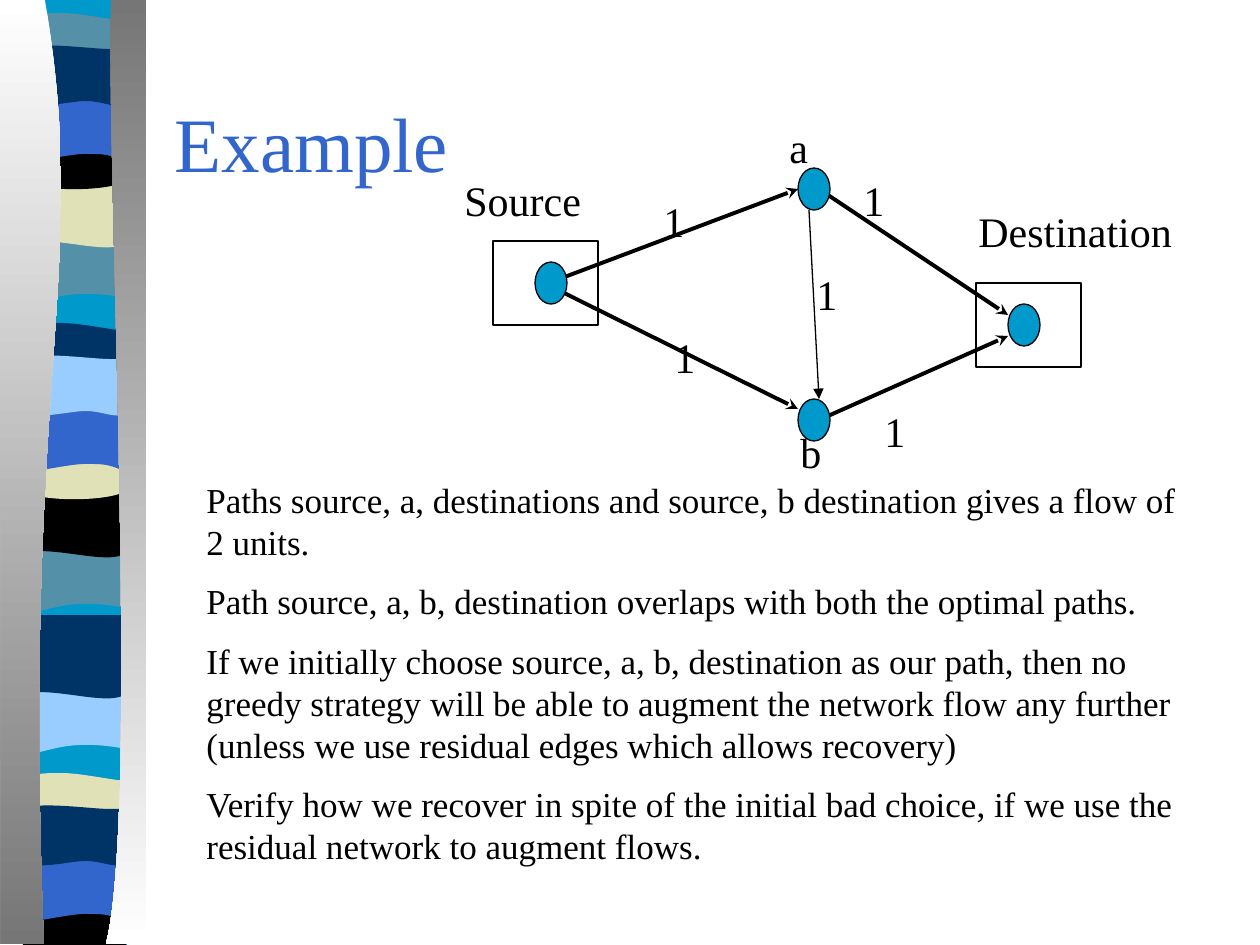
from lxml import etree
from pptx import Presentation
from pptx.dml.color import RGBColor
from pptx.enum.shapes import MSO_CONNECTOR, MSO_SHAPE
from pptx.enum.text import MSO_ANCHOR, PP_ALIGN
from pptx.oxml.ns import qn
from pptx.util import Pt

PX = 914400 / 126
W, H = 1260, 945
FONT = "Times New Roman"
STRAIGHT = MSO_CONNECTOR.STRAIGHT
RECT, OVAL = MSO_SHAPE.RECTANGLE, MSO_SHAPE.OVAL
MIDDLE, LEFT = MSO_ANCHOR.MIDDLE, PP_ALIGN.LEFT

BLACK = RGBColor(0x00, 0x00, 0x00)
WHITE = RGBColor(0xFF, 0xFF, 0xFF)
GREY = RGBColor(0x76, 0x76, 0x76)
CYAN = RGBColor(0x00, 0x99, 0xCC)
TEAL = RGBColor(0x54, 0x90, 0xA8)
CREAM = RGBColor(0xE1, 0xE1, 0xB7)
BLUE = RGBColor(0x33, 0x66, 0xCC)
NAVY = RGBColor(0x00, 0x33, 0x66)
SKY = RGBColor(0x99, 0xCC, 0xFF)

# Band outlines: a pair is a line's end, six numbers are a Bezier curve
BANDS = {
    "tail": [(137, 0), (137, 59), (42, 49, 23, 69, 0, 59), (0, 0)],
    "block": [(137, 0), (137, 59), (114, 69, 42, 53, 0, 59), (0, 0)],
    "lens": [(137, 6), (137, 37), (114, 42, 23, 42, 0, 37), (0, 6),
             (9, 0, 29, 0, 52, 0), (76, 0, 119, 5, 137, 6)],
    "arch": [(137, 0), (137, 40), (114, 48, 23, 48, 0, 40), (0, 0),
             (84, 6, 108, 0, 137, 0)],
    "foot": [(137, 0), (137, 47), (0, 47), (0, 0), (84, 6, 108, 0, 137, 0)],
    "hump": [(137, 0), (137, 59), (115, 53, 107, 53, 84, 53),
             (61, 53, 20, 59, 0, 59), (0, 0)],
    "cap": [(137, 6), (137, 45), (128, 52, 108, 45, 84, 45),
            (61, 45, 14, 52, 0, 45), (0, 6), (19, 0, 92, 6, 115, 6),
            (139, 6, 133, 6, 137, 6)],
}
# Middle of each band below the top of its group
BAND_MIDDLE = {"tail": 245, "block": 190, "lens": 21, "arch": 140, "foot": 140,
               "hump": 103, "cap": 56}
# Groups of bands: top, then colours from back to front
BAND_GROUPS = [
    (20, {"tail": TEAL, "block": CREAM, "lens": TEAL, "arch": BLACK,
          "hump": BLUE, "cap": NAVY}),
    (330, {"tail": TEAL, "block": BLACK, "lens": NAVY, "arch": CREAM,
           "hump": BLUE, "cap": SKY}),
    (471, {"tail": SKY, "block": NAVY}),
    (780, {"lens": CREAM, "foot": BLACK, "hump": BLUE, "cap": NAVY}),
]
BAND_SX, BAND_SY = 3 / 4, 4 / 3
LEFT_CURTAIN = [(45, 0), (91, 273, 21, 373, 44, 944), (1, 944), (0, 0)]
RIGHT_CURTAIN = [(111, 0), (106, 157, 140, 814, 106, 944), (146, 944), (146, 0)]

PARAGRAPHS = [
    "Paths source, a, destinations and source, b destination gives a flow of 2 units.",
    "Path source, a, b, destination overlaps with both the optimal paths.",
    "If we initially choose source, a, b, destination as our path, then no greedy "
    "strategy will be able to augment the network flow any further (unless we use "
    "residual edges which allows recovery)",
    "Verify how we recover in spite of the initial bad choice, if we use the "
    "residual network to augment flows.",
]


def px(*values):
    return [round(v * PX) for v in values]


def add_outline(s, x, y, outline, sx=1, sy=1):
    points = [(x + sx * part[i], y + sy * part[i + 1])
              for part in outline for i in range(0, len(part), 2)]
    builder = s.shapes.build_freeform(*points[0], scale=PX)
    builder.add_line_segments(points[1:], close=True)
    sp = builder.convert_to_shape()
    # Join each curve's three points into one Bezier segment
    lines = iter(list(sp._element.iter(qn("a:lnTo"))))
    for part in outline[1:]:
        first = next(lines)
        if len(part) == 6:
            first.tag = qn("a:cubicBezTo")
            for _ in range(2):
                line = next(lines)
                first.append(line[0])
                line.getparent().remove(line)
    sp.shadow.inherit = False
    sp.line.fill.background()
    return sp


def add_ribbon(s, x, y):
    # Coloured bands over a plain base
    base = add_outline(s, x + 24, y, [(0, 0), (103, 0), (103, 945), (0, 945)])
    base.fill.solid()
    base.fill.fore_color.rgb = CYAN
    for top, colors in BAND_GROUPS:
        for name, color in colors.items():
            outline = BANDS[name]
            height = max(max(part[1::2]) for part in outline)
            band_y = y + top + BAND_MIDDLE[name] - height * BAND_SY / 2
            band = add_outline(s, x + 23, band_y, outline, BAND_SX, BAND_SY)
            band.fill.solid()
            band.fill.fore_color.rgb = color
    # Curtains that trim the bands on both sides
    for outline, shades in ((LEFT_CURTAIN, (WHITE, GREY)),
                            (RIGHT_CURTAIN, (GREY, WHITE))):
        fill = add_outline(s, x, y, outline).fill
        fill.gradient()
        fill.gradient_angle = 270
        for stop, shade in zip(fill.gradient_stops, shades):
            stop.color.rgb = shade


def add_title(s, x, y, w, h, text):
    title = s.shapes.title
    title.left, title.top, title.width, title.height = px(x, y, w, h)
    tf = title.text_frame
    tf.text = text
    tf.vertical_anchor = MIDDLE
    p = tf.paragraphs[0]
    p.alignment = LEFT
    p.font.name, p.font.size, p.font.color.rgb = FONT, Pt(44), BLUE


def add_text(s, x, y, w, h, lines, size, gap=0):
    tf = s.shapes.add_textbox(*px(x, y, w, h)).text_frame
    tf.word_wrap = True
    for i, line in enumerate(lines):
        p = tf.paragraphs[0] if i == 0 else tf.add_paragraph()
        p.text = line
        p.font.name, p.font.size, p.font.color.rgb = FONT, Pt(size), BLACK
        if i:
            p.space_before = Pt(gap)


def add_outlined(s, kind, x, y, w, h, color=None):
    sp = s.shapes.add_shape(kind, *px(x, y, w, h))
    sp.shadow.inherit = False
    sp.line.color.rgb, sp.line.width = BLACK, Pt(0.75)
    if color is None:
        sp.fill.background()
    else:
        sp.fill.solid()
        sp.fill.fore_color.rgb = color


def add_arrow(s, x1, y1, x2, y2, width, head):
    cx = s.shapes.add_connector(STRAIGHT, *px(x1, y1, x2, y2))
    cx.line.color.rgb, cx.line.width = BLACK, Pt(width)
    etree.SubElement(cx.line._get_or_add_ln(), qn("a:tailEnd"), type=head)
    etree.SubElement(cx._element.spPr, qn("a:effectLst"))


def add_network(s, x, y):
    # Frames round source and destination
    for dx, dy in ((42, 126), (525, 168)):
        add_outlined(s, RECT, x + dx, y + dy, 105, 84)
    # Edges
    for x1, y1, x2, y2 in ((95, 169, 347, 74), (95, 169, 347, 294),
                           (368, 74, 557, 200), (368, 305, 557, 221)):
        add_arrow(s, x + x1, y + y1, x + x2, y + y2, 2.25, "stealth")
    # Nodes
    for dx, dy in ((84, 147), (347, 53), (557, 189), (347, 284)):
        add_outlined(s, OVAL, x + dx, y + dy, 32, 42, CYAN)
    add_arrow(s, x + 358, y + 95, x + 368, y + 284, 0.75, "triangle")
    # Node names and edge capacities
    for text, dx, dy, w in (("Source", 1, 53, 262), ("Destination", 515, 84, 262),
                            ("1", 200, 74, 199), ("1", 400, 53, 199),
                            ("1", 211, 210, 199), ("1", 421, 284, 199),
                            ("1", 353, 147, 199), ("a", 326, 0, 63),
                            ("b", 337, 305, 63)):
        add_text(s, x + dx, y + dy, w, 63, [text], 24)


def main():
    prs = Presentation()
    prs.slide_width, prs.slide_height = px(W, H)
    s = prs.slides.add_slide(prs.slide_layouts[5])
    add_ribbon(s, 0, 0)
    add_title(s, 162, 63, 1071, 158, "Example")
    add_network(s, 451, 115)
    add_text(s, 194, 472, 1008, 412, PARAGRAPHS, 20, gap=10)
    prs.save("out.pptx")


if __name__ == "__main__":
    main()
